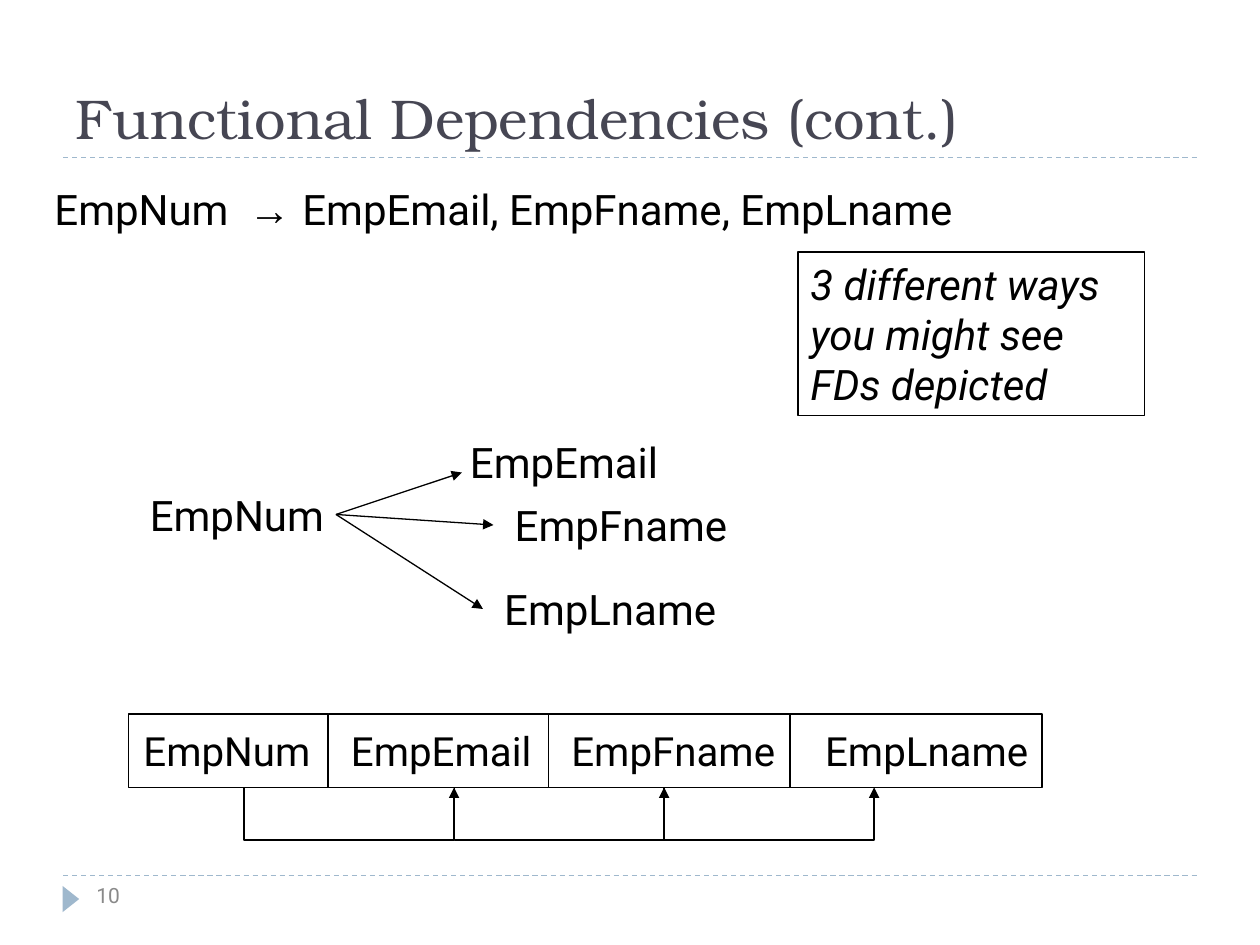
from typing import NamedTuple

from lxml.etree import SubElement
from pptx import Presentation
from pptx.dml.color import RGBColor
from pptx.enum.dml import MSO_LINE_DASH_STYLE as Dash
from pptx.enum.shapes import MSO_CONNECTOR as Connector, MSO_SHAPE as Shape
from pptx.enum.text import MSO_ANCHOR as Anchor, PP_ALIGN as Align
from pptx.oxml.ns import qn
from pptx.util import Pt

COLORS = {"title": "464653", "accent": "9FB8CD", "number": "898989", "ink": "000000"}
BODY, HEADING, SYMBOL = "Roboto", "TeX Gyre Bonum", "Arial"


class Label(NamedTuple):
    text: str
    left: float
    top: float
    width: float


class Cell(NamedTuple):
    text: str
    width: float
    inset: float


LABELS = [
    Label("EmpNum", 78.5, 276, 120),
    Label("EmpEmail", 261.5, 246, 127),
    Label("EmpFname", 287, 282, 142),
    Label("EmpLname", 281, 330, 142),
]
FAN_START = (192, 294)
FAN_ENDS = [(264, 270), (282, 300), (276, 348)]

CELLS = [
    Cell("EmpNum", 114, 8.5),
    Cell("EmpEmail", 126, 13),
    Cell("EmpFname", 138, 13),
    Cell("EmpLname", 144, 20),
]
ROW_LEFT, ROW_TOP, ROW_HEIGHT = 73.5, 408, 42
BRACKET_LEFT, BRACKET_STEP, BRACKET_DEPTH = 139.5, 120, 30


def color(name: str) -> RGBColor:
    return RGBColor.from_string(COLORS[name])


def add_span(para, text: str, *, size: float = 24, font: str = BODY,
             ink: str = "ink", italic: bool = False) -> None:
    span = para.add_run()
    span.text = text
    span.font.size = Pt(size)
    span.font.name = font
    span.font.italic = italic
    span.font.color.rgb = color(ink)


def write(box, text: str, *, anchor=Anchor.TOP, inset: float = 7.2, **style) -> None:
    frame = box.text_frame
    frame.word_wrap = True
    frame.vertical_anchor = anchor
    frame.margin_left, frame.margin_right = Pt(inset), Pt(0)
    frame.margin_top = frame.margin_bottom = Pt(3.6)
    para = frame.paragraphs[0]
    para.alignment = Align.LEFT
    add_span(para, text, **style)


def add_text(page, left: float, top: float, width: float, height: float,
             text: str, **style):
    box = page.shapes.add_textbox(Pt(left), Pt(top), Pt(width), Pt(height))
    write(box, text, **style)
    return box


def add_frame(page, left: float, top: float, width: float, height: float):
    box = page.shapes.add_shape(Shape.RECTANGLE, Pt(left), Pt(top), Pt(width), Pt(height))
    box.shadow.inherit = False
    box.fill.background()
    set_line(box.line)
    return box


def set_line(line, ink: str = "ink", arrow: bool = False) -> None:
    line.color.rgb = color(ink)
    line.width = Pt(0.75)
    if arrow:
        SubElement(line._get_or_add_ln(), qn("a:tailEnd"), type="triangle")


def add_line(page, start: tuple, end: tuple, ink: str = "ink", arrow: bool = False):
    line = page.shapes.add_connector(Connector.STRAIGHT, *map(Pt, start + end))
    set_line(line.line, ink, arrow)
    SubElement(line._element.spPr, qn("a:effectLst"))
    return line


def add_bracket(page, left: float, top: float) -> None:
    right, bottom = left + BRACKET_STEP, top + BRACKET_DEPTH
    builder = page.shapes.build_freeform(Pt(left), Pt(top))
    corners = [(left, bottom), (right, bottom), (right, top)]
    builder.add_line_segments([(Pt(x), Pt(y)) for x, y in corners], close=False)
    bracket = builder.convert_to_shape()
    bracket.shadow.inherit = False
    bracket.fill.background()
    # Line ends must come before the effects, inside the outline element
    set_line(bracket.line, arrow=True)


def main() -> None:
    deck = Presentation()
    deck.slide_width, deck.slide_height = Pt(720), Pt(540)
    page = deck.slides.add_slide(deck.slide_layouts[5])

    # Rules and page marker
    for y in (500.5, 90):
        rule = add_line(page, (36, y), (684, y), "accent")
        rule.line.dash_style = Dash.DASH
    marker = page.shapes.add_shape(Shape.ISOSCELES_TRIANGLE,
                                   Pt(33), Pt(509), Pt(15), Pt(9.5))
    marker.rotation = 90
    marker.shadow.inherit = False
    marker.fill.solid()
    marker.fill.fore_color.rgb = color("accent")
    marker.line.fill.background()
    add_text(page, 48, 500.5, 156, 29, "10", size=12, ink="number")

    # Title
    title = page.shapes.title
    title.left, title.top, title.width, title.height = Pt(36), Pt(18), Pt(648), Pt(72)
    write(title, "Functional Dependencies (cont.)", anchor=Anchor.BOTTOM,
          size=32, font=HEADING, ink="title")

    # Dependency as a formula, with a tab stop before the arrow
    formula = add_text(page, 24, 101.5, 536, 65, "EmpNum\t")
    para = formula.text_frame.paragraphs[0]
    tabs = SubElement(para._p.get_or_add_pPr(), qn("a:tabLst"))
    SubElement(tabs, qn("a:tab"), pos=str(Pt(111)), algn="l")
    add_span(para, "→ ", font=SYMBOL)
    add_span(para, "EmpEmail, EmpFname, EmpLname")

    # Dependency as a fan of arrows
    for label in LABELS:
        add_text(page, label.left, label.top, label.width, 36, label.text)
    for end in FAN_ENDS:
        add_line(page, FAN_START, end, arrow=True)

    # Dependency as a row of attributes joined by brackets
    left = ROW_LEFT
    for cell in CELLS:
        box = add_frame(page, left, ROW_TOP, cell.width, ROW_HEIGHT)
        write(box, cell.text, anchor=Anchor.MIDDLE, inset=cell.inset, size=23)
        left += cell.width
    for index in range(len(CELLS) - 1):
        add_bracket(page, BRACKET_LEFT + index * BRACKET_STEP, ROW_TOP + ROW_HEIGHT)

    # Remark
    remark = add_frame(page, 456, 144, 198, 93.5)
    write(remark, "3 different ways you might see FDs depicted", italic=True)

    deck.save("out.pptx")


if __name__ == "__main__":
    main()
